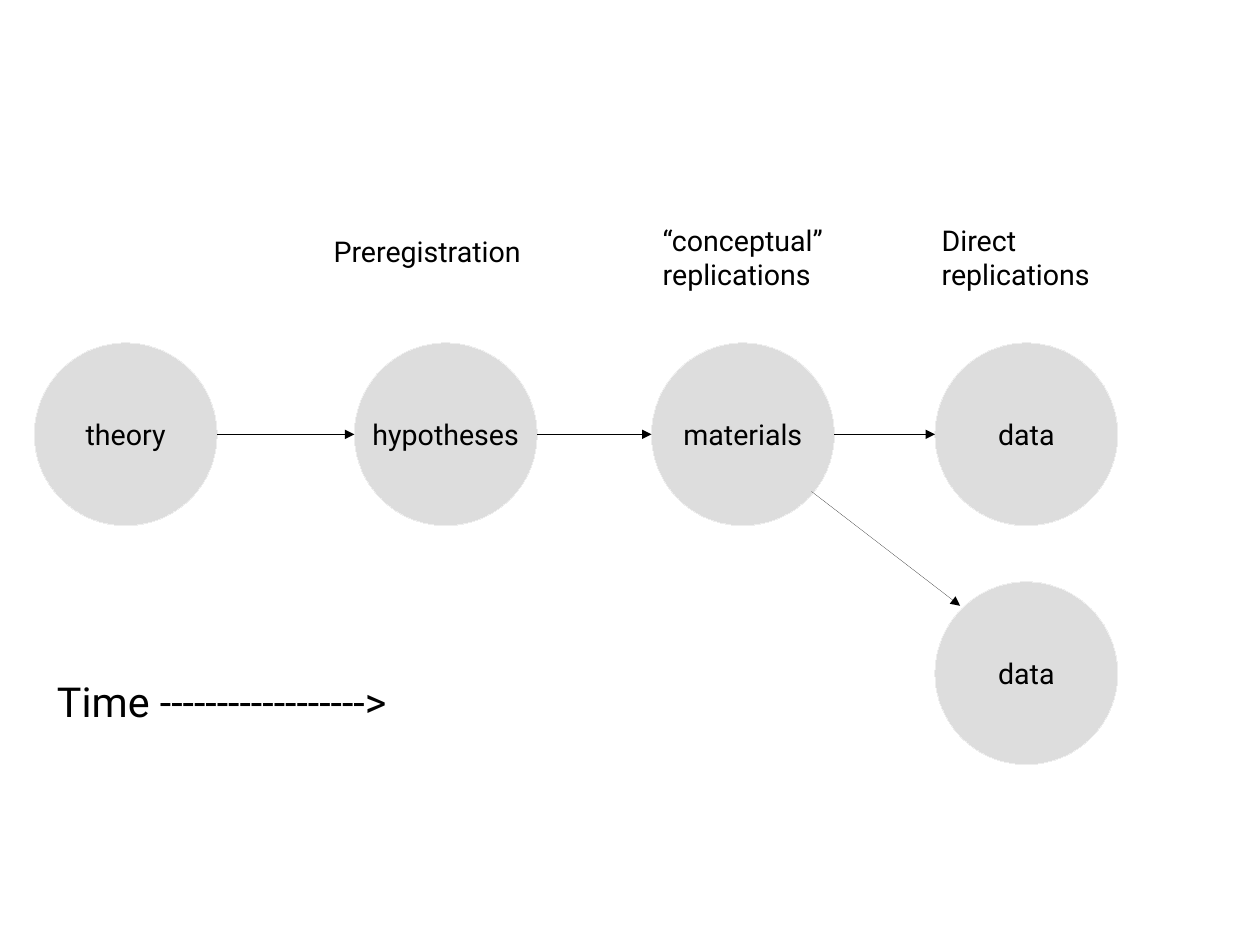
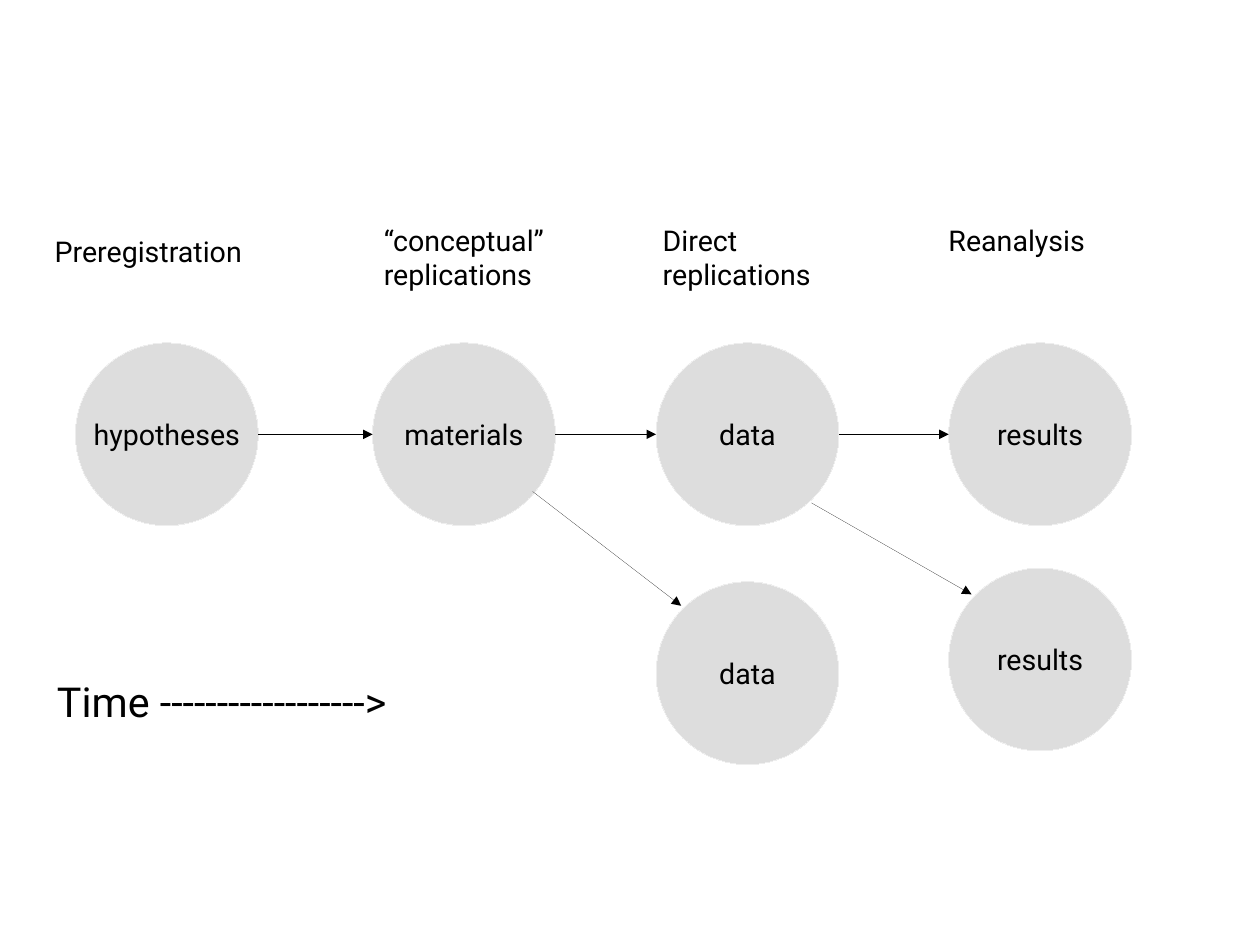
from lxml import etree
from pptx import Presentation
from pptx import util as u
from pptx.dml import color
from pptx.enum import shapes, text
from pptx.oxml import ns

WIDE, HIGH = u.Cm(28), u.Cm(21)
FONT = "Roboto"
HUES = {"disc": "DDDDDD", "rim": "EEEEEE", "ink": "000000"}
SIZE = 1.6
COLS = {"theory": 0.3, "hypotheses": 3.1, "materials": 5.7, "data": 8.18}
ROWS = {"label": 1.9, "top": 3, "low": 5.09, "time": 5.87}
MID = ROWS["top"] + SIZE / 2
SHIFT = -2.44
RESULT = 8.3


def hue(name):
    return color.RGBColor.from_string(HUES[name])


def style(para, size):
    for run in para.runs:
        run.font.name = FONT
        run.font.size = u.Pt(size)
        run.font.color.rgb = hue("ink")


def thin(shape, name):
    shape.line.color.rgb = hue(name)
    edge = shape._element.spPr.find(ns.qn("a:ln"))
    edge.set("w", "0")
    return edge


def disc(slide, word, left, top=ROWS["top"]):
    shape = slide.shapes.add_shape(
        shapes.MSO_SHAPE.OVAL, *map(u.Inches, (left, top, SIZE, SIZE)))
    shape.shadow.inherit = False
    shape.fill.solid()
    shape.fill.fore_color.rgb = hue("disc")
    thin(shape, "rim")
    frame = shape.text_frame
    frame.text = word
    frame.word_wrap = False
    frame.vertical_anchor = text.MSO_ANCHOR.MIDDLE
    para = frame.paragraphs[0]
    para.alignment = text.PP_ALIGN.CENTER
    style(para, 18)


def label(slide, words, left, top=ROWS["label"], wide=2, high=0.78, size=18):
    box = slide.shapes.add_textbox(*map(u.Inches, (left, top, wide, high)))
    frame = box.text_frame
    frame.text = words
    frame.word_wrap = True
    frame.auto_size = text.MSO_AUTO_SIZE.SHAPE_TO_FIT_TEXT
    style(frame.paragraphs[0], size)


def arrow(slide, *ends):
    line = slide.shapes.add_connector(
        shapes.MSO_CONNECTOR.STRAIGHT, *map(u.Inches, ends))
    etree.SubElement(thin(line, "ink"), ns.qn("a:tailEnd"), type="triangle")
    etree.SubElement(line._element.spPr, ns.qn("a:effectLst"))


def link(slide, start, end):
    arrow(slide, start + SIZE, MID, end, MID)


def study(slide, shift):
    hypo, mat, data = (COLS[name] + shift
                       for name in ("hypotheses", "materials", "data"))
    disc(slide, "hypotheses", hypo)
    disc(slide, "materials", mat)
    disc(slide, "data", data)
    disc(slide, "data", data, ROWS["low"])
    link(slide, hypo, mat)
    link(slide, mat, data)
    arrow(slide, mat + 1.4, 4.3, mat + 2.7, 5.3)
    label(slide, "Preregistration", hypo - 0.28, 2, 2.28, 0.7)
    label(slide, "“conceptual” replications", mat)
    label(slide, "Direct replications", data - 0.04)
    label(slide, "Time ------------------>", 0.4, ROWS["time"], 5.3, 0.59, 26)


def theory(slide):
    disc(slide, "theory", COLS["theory"])
    link(slide, COLS["theory"], COLS["hypotheses"])


def results(slide):
    disc(slide, "results", RESULT)
    disc(slide, "results", RESULT, 4.97)
    link(slide, COLS["data"] + SHIFT, RESULT)
    arrow(slide, 7.1, 4.4, 8.5, 5.2)
    label(slide, "Reanalysis", RESULT - 0.1, high=0.44)


def main():
    deck = Presentation()
    deck.slide_width, deck.slide_height = WIDE, HIGH
    for shift, extra in ((0, theory), (SHIFT, results)):
        slide = deck.slides.add_slide(deck.slide_layouts[6])
        study(slide, shift)
        extra(slide)
    deck.save("out.pptx")


if __name__ == "__main__":
    main()
